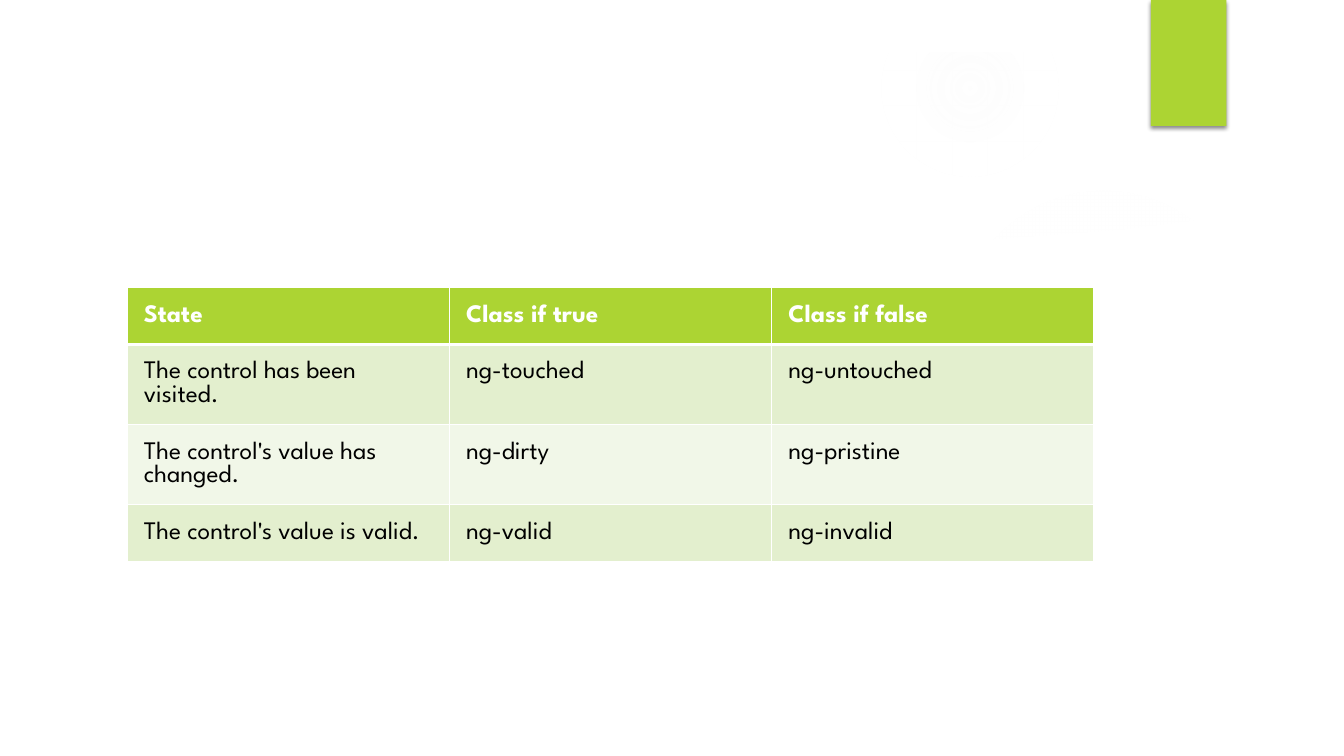
from lxml.etree import SubElement
from pptx import Presentation
from pptx.dml.color import RGBColor
from pptx.enum.shapes import MSO_SHAPE
from pptx.oxml import parse_xml
from pptx.oxml.ns import nsdecls, qn
from pptx.util import Pt

SCALE = 9525
LIME = RGBColor(0xAC, 0xD4, 0x33)
PALE = RGBColor(0xE3, 0xEF, 0xCE)
FAINT = RGBColor(0xF1, 0xF7, 0xE8)
MIST = RGBColor(0xF7, 0xF7, 0xF7)
WHITE = RGBColor(0xFF, 0xFF, 0xFF)
BLACK = RGBColor(0x00, 0x00, 0x00)
FONT = "League Spartan"
INSET = 16
ROW = 39
ROWS = [
    ("State", "Class if true", "Class if false"),
    ("The control has been visited.", "ng-touched", "ng-untouched"),
    ("The control's value has changed.", "ng-dirty", "ng-pristine"),
    ("The control's value is valid.", "ng-valid", "ng-invalid"),
]
GLOWS = [
    (0, 280, 440, (11, 10), 75),
    (0, 304, 248, (8, 8), 72),
    (903, 176, 296, (7, 6), 69),
    (840, 0, 168, (14, 7), 73),
    (903, 616, 104, (14, 7), 66),
]
WAVE = [(1184, 0), (1098, 13), (1018, 23), (937, 29), (858, 35), (781, 38),
        (705, 41), (631, 42), (559, 41), (489, 40), (378, 35), (298, 31),
        (224, 25), (159, 20), (105, 15), (42, 8), (0, 0)]
SLIVER = [(4, 81), (120, 77), (240, 65), (345, 46), (340, 0), (284, 18),
          (217, 36), (151, 50), (87, 62), (29, 71), (0, 74)]


def draw_shape(slide, kind, left, top, width, height):
    """Add a preset shape without line or shadow."""
    shape = slide.shapes.add_shape(kind, *map(px, (left, top, width, height)))
    shape.line.fill.background()
    shape.shadow.inherit = False
    return shape


def px(size):
    """Turn px into EMU."""
    return size * SCALE


def add_glow(slide, left, top, size, alphas, edge):
    """Draw a round glow that fades out at its edge."""
    glow = draw_shape(slide, MSO_SHAPE.OVAL, left, top, size, size)
    stops = "".join(
        f'<a:gs pos="{pos * 1000}"><a:srgbClr val="{MIST}">'
        f'<a:alpha val="{alpha * 1000}"/></a:srgbClr></a:gs>'
        for pos, alpha in zip((0, 36, edge), (*alphas, 0)))
    fade = parse_xml(
        f'<a:gradFill {nsdecls("a")}><a:gsLst>{stops}</a:gsLst><a:path path="circle">'
        '<a:fillToRect l="50000" t="50000" r="50000" b="50000"/></a:path></a:gradFill>')
    glow._element.spPr.find(qn("a:prstGeom")).addnext(fade)


def add_sheet(slide, left, top, *loops):
    """Draw a white outline from loops of points."""
    start, *rest = loops[0]
    pen = slide.shapes.build_freeform(left + start[0], top + start[1], scale=SCALE)
    pen.add_line_segments([(left + x, top + y) for x, y in rest])
    for first, *others in loops[1:]:
        pen.move_to(left + first[0], top + first[1])
        pen.add_line_segments([(left + x, top + y) for x, y in others])
    sheet = pen.convert_to_shape()
    sheet.fill.solid()
    sheet.fill.fore_color.rgb = WHITE
    sheet.line.fill.background()
    sheet.shadow.inherit = False
    return sheet


def add_scene(slide, width, height, rim):
    """Draw the glows, the curved sheet and the frame."""
    for glow in GLOWS:
        add_glow(slide, *glow)
    sliver = add_sheet(slide, 892, 159, SLIVER)
    color = sliver._element.spPr.find(qn("a:solidFill"))[0]
    SubElement(color, qn("a:alpha"), val="20000")
    add_sheet(slide, 48, 196, [(0, 476), (1184, 476), *WAVE])
    outer = [(0, 0), (0, height), (width, height), (width, 0)]
    right, low = width - rim, height - rim
    inner = [(right, low), (rim, low), (rim, rim), (right, rim)]
    add_sheet(slide, 0, 0, outer, inner[::1])


def add_tab(slide, left, top, width, height):
    """Draw the green tab with its soft shadow."""
    tab = draw_shape(slide, MSO_SHAPE.RECTANGLE, left, top, width, height)
    tab.fill.solid()
    tab.fill.fore_color.rgb = LIME
    effects = tab._element.spPr.find(qn("a:effectLst"))
    shade = SubElement(effects, qn("a:outerShdw"), blurRad=str(Pt(3)),
                       dist=str(Pt(2)), dir="5400000", rotWithShape="0")
    color = SubElement(shade, qn("a:srgbClr"), val=str(BLACK))
    SubElement(color, qn("a:alpha"), val="45000")


def set_edges(cell, row):
    """Give a cell white edges, thick below the header."""
    widths = {"L": 1, "R": 1, "T": 3 if row == 1 else 1, "B": 3 if row == 0 else 1}
    props = cell._tc.get_or_add_tcPr()
    for place, (side, width) in enumerate(widths.items()):
        props.insert(place, parse_xml(
            f'<a:ln{side} {nsdecls("a")} w="{Pt(width)}"><a:solidFill>'
            f'<a:srgbClr val="{WHITE}"/></a:solidFill></a:ln{side}>'))


def fill_cell(cell, text, row):
    """Write and style one cell."""
    head = row == 0
    cell.fill.solid()
    cell.fill.fore_color.rgb = LIME if head else PALE if row % 2 else FAINT
    cell.margin_left = cell.margin_right = px(INSET)
    cell.margin_top = cell.margin_bottom = px(INSET)
    run = cell.text_frame.paragraphs[0].add_run()
    run.text = text
    run.font.name = FONT
    run.font.size = Pt(18)
    run.font.bold = head
    run.font.color.rgb = WHITE if head else BLACK
    set_edges(cell, row)


def add_states(slide, left, top, width):
    """Draw the table of control states."""
    count = len(ROWS[0])
    box = map(px, (left, top, width, ROW * len(ROWS)))
    table = slide.shapes.add_table(len(ROWS), count, *box).table
    for column in table.columns:
        column.width = px(width // count)
    for row, texts in enumerate(ROWS):
        table.rows[row].height = px(ROW)
        for col, text in enumerate(texts):
            fill_cell(table.cell(row, col), text, row)


def main():
    """Build and save the slide."""
    deck = Presentation()
    deck.slide_width, deck.slide_height = px(1280), px(720)
    slide = deck.slides.add_slide(deck.slide_layouts[6])
    slide.background.fill.solid()
    slide.background.fill.fore_color.rgb = WHITE
    add_scene(slide, 1280, 720, 50)
    add_tab(slide, 1096, 0, 72, 120)
    add_states(slide, 121, 274, 921)
    deck.save("out.pptx")


if __name__ == "__main__":
    main()
